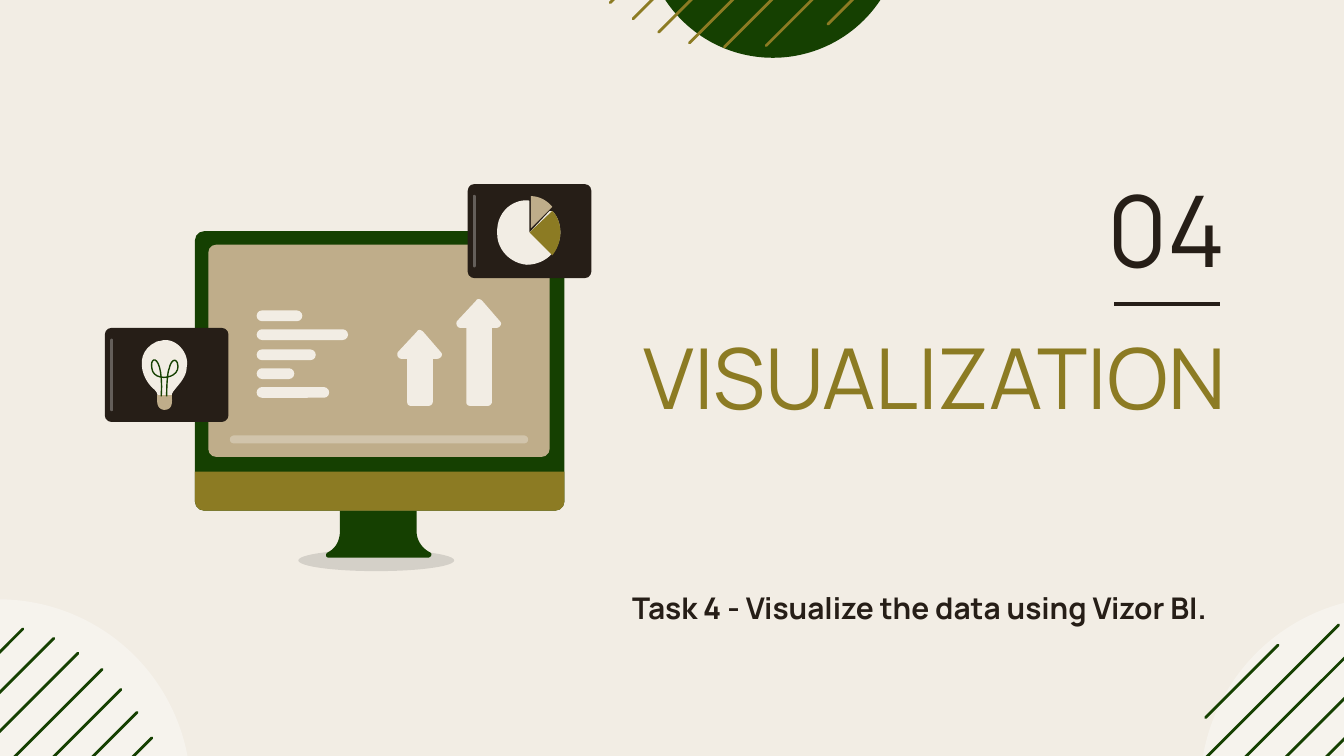
"""Build a section slide with a monitor illustration and striped circles."""
from pptx import Presentation
from pptx.dml.color import RGBColor
from pptx.enum.shapes import MSO_CONNECTOR, MSO_SHAPE as SHAPE
from pptx.enum.text import MSO_ANCHOR as ANCHOR, MSO_AUTO_SIZE, PP_ALIGN
from pptx.oxml.ns import qn
from pptx.util import Inches, Pt
from lxml import etree

CREAM = RGBColor(0xF2, 0xED, 0xE4)
GREEN = RGBColor(0x15, 0x40, 0x01)
OLIVE = RGBColor(0x8C, 0x7B, 0x23)
TAN = RGBColor(0xBF, 0xAD, 0x8A)
DARK = RGBColor(0x26, 0x1E, 0x17)
WHITE = RGBColor(0xFF, 0xFF, 0xFF)
BLACK = RGBColor(0x00, 0x00, 0x00)


def paint(sp, color, opacity=100):
    sp.shadow.inherit = False
    sp.line.fill.background()
    sp.fill.solid()
    sp.fill.fore_color.rgb = color
    if opacity < 100:
        clr = sp.fill._xPr.find(qn("a:solidFill"))[0]
        etree.SubElement(clr, qn("a:alpha"), val=str(opacity * 1000))


def outline(shapes, steps, close=True):
    """Draw lines (x, y) and cubic curves (x1, y1, x2, y2, x, y)."""
    points = [steps[0]]
    for step in steps[1:]:
        if len(step) == 2:
            points.append(step)
            continue
        x0, y0 = points[-1]
        x1, y1, x2, y2, x3, y3 = step
        for i in range(1, 13):
            t = i / 12
            u = 1 - t
            a, b, c, d = u ** 3, 3 * u * u * t, 3 * u * t * t, t ** 3
            points.append((a * x0 + b * x1 + c * x2 + d * x3,
                           a * y0 + b * y1 + c * y2 + d * y3))
    points = [(Inches(x), Inches(y)) for x, y in points]
    builder = shapes.build_freeform(*points[0])
    builder.add_line_segments(points[1:], close=close)
    return builder.convert_to_shape()


prs = Presentation()
prs.slide_width, prs.slide_height = Inches(10), Inches(10) * 9 // 16
s = prs.slides.add_slide(prs.slide_layouts[5])
s.background.fill.solid()
s.background.fill.fore_color.rgb = CREAM

circles = [
    ((-1.44, 4.46, 2.86, 2.86), WHITE, 36, GREEN,
     [(-1.54, 6.39, 1.71), (-1.46, 6.61, 1.86), (-1.36, 6.8, 1.94),
      (-1.26, 7, 2.02), (-1.02, 7.05, 1.92), (-0.96, 7.28, 1.98),
      (-0.73, 7.35, 1.86)]),
    ((8.93, 4.44, 2.86, 2.86), WHITE, 36, GREEN,
     [(8.97, 5.34, 0.54), (8.81, 5.8, 1.15), (8.79, 6.11, 1.49),
      (8.83, 6.37, 1.71), (8.91, 6.59, 1.85)]),
    ((4.79, -1.49, 1.92, 1.92), GREEN, 100, OLIVE,
     [(4.54, 0.02, 2), (4.71, 0.14, 1.95), (4.9, 0.24, 1.86),
      (5.13, 0.32, 1.71), (5.39, 0.35, 1.49), (5.7, 0.34, 1.16),
      (6.16, 0.18, 0.54)]),
]
for box, color, opacity, stripe_color, stripes in circles:
    group = s.shapes.add_group_shape().shapes
    paint(group.add_shape(SHAPE.OVAL, *map(Inches, box)), color, opacity)
    for x, y, run in stripes:
        stripe = group.add_connector(
            MSO_CONNECTOR.STRAIGHT, *map(Inches, (x, y, x + run, y - run)))
        stripe.line.color.rgb = stripe_color
        stripe.line.width = Pt(1.5)
        stripe.line._get_or_add_ln().set("cap", "rnd")
        etree.SubElement(stripe._element.spPr, qn("a:effectLst"))

monitor = s.shapes.add_group_shape().shapes
paint(monitor.add_shape(SHAPE.OVAL, *map(Inches, (2.22, 4.09, 1.16, 0.16))), BLACK, 12)
stand = [(2.53, 3.95), (2.53, 3.8), (3.1, 3.8), (3.1, 3.95),
         (3.1, 4.02, 3.14, 4.08, 3.2, 4.11), (3.22, 4.12, 3.21, 4.15, 3.18, 4.15),
         (2.45, 4.15), (2.42, 4.15, 2.42, 4.12, 2.44, 4.11),
         (2.5, 4.08, 2.53, 4.02, 2.53, 3.95)]
paint(outline(monitor, stand), GREEN)

panels = [
    (SHAPE.ROUNDED_RECTANGLE, (1.45, 1.72, 2.75, 2.08), 0.07, GREEN, 100),
    (SHAPE.ROUND_2_SAME_RECTANGLE, (1.45, 3.51, 2.75, 0.29), 0.07, OLIVE, 100),
    (SHAPE.ROUNDED_RECTANGLE, (1.55, 1.82, 2.54, 1.58), 0.06, TAN, 100),
    (SHAPE.ROUNDED_RECTANGLE, (1.71, 3.24, 2.22, 0.06), 0.03, WHITE, 29),
]
for y, width in [(2.31, 0.34), (2.45, 0.68), (2.6, 0.44), (2.74, 0.28), (2.88, 0.54)]:
    panels.append((SHAPE.ROUNDED_RECTANGLE, (1.91, y, width, 0.08), 0.04, CREAM, 100))
for x, y in [(0.78, 2.44), (3.48, 1.37)]:
    panels.append((SHAPE.ROUNDED_RECTANGLE, (x, y, 0.92, 0.7), 0.05, DARK, 100))
    panels.append((SHAPE.ROUNDED_RECTANGLE, (x + 0.04, y + 0.08, 0.02, 0.54), 0.01, WHITE, 29))
for kind, box, radius, color, opacity in panels:
    panel = monitor.add_shape(kind, *map(Inches, box))
    panel.adjustments[0] = radius / min(box[2:])
    if kind == SHAPE.ROUND_2_SAME_RECTANGLE:
        panel.rotation = 180
    paint(panel, color, opacity)

foot = 3.02
for x, y in [(2.95, 2.45), (3.39, 2.22)]:
    neck = y + 0.22
    arrow = [(x + 0.33, y + 0.17), (x + 0.2, y + 0.02),
             (x + 0.18, y, x + 0.16, y, x + 0.15, y + 0.02), (x + 0.01, y + 0.17),
             (x, y + 0.19, x + 0.01, neck, x + 0.04, neck), (x + 0.08, neck),
             (x + 0.08, foot - 0.03), (x + 0.08, foot - 0.01, x + 0.09, foot, x + 0.11, foot),
             (x + 0.24, foot), (x + 0.25, foot, x + 0.27, foot - 0.01, x + 0.27, foot - 0.03),
             (x + 0.27, neck), (x + 0.3, neck),
             (x + 0.33, neck, x + 0.35, y + 0.19, x + 0.33, y + 0.17)]
    paint(outline(monitor, arrow), CREAM)

bulb = [(1.23, 2.53), (1.21, 2.53, 1.19, 2.54, 1.17, 2.54),
        (0.99, 2.62, 1.05, 2.82, 1.15, 2.9), (1.18, 2.93, 1.17, 2.95, 1.17, 2.95),
        (1.28, 2.95), (1.26, 2.91, 1.39, 2.84, 1.39, 2.73),
        (1.41, 2.64, 1.33, 2.53, 1.23, 2.53)]
cap = [(1.28, 2.94), (1.28, 2.99, 1.29, 3.05, 1.22, 3.05),
       (1.16, 3.04, 1.17, 2.98, 1.17, 2.94)]
tan_slice = [(3.95, 1.46), (4.01, 1.46, 4.07, 1.49, 4.11, 1.54), (3.95, 1.7)]
cream_slice = [(4.09, 1.57), (3.94, 1.73), (3.94, 1.5), (3.94, 1.49, 3.93, 1.49, 3.92, 1.49),
               (3.79, 1.49, 3.69, 1.6, 3.7, 1.74), (3.7, 1.86, 3.8, 1.96, 3.92, 1.97),
               (4.06, 1.97, 4.17, 1.86, 4.17, 1.73), (4.17, 1.67, 4.15, 1.61, 4.11, 1.57)]
olive_slice = [(4.11, 1.9), (4.15, 1.85, 4.17, 1.79, 4.17, 1.73),
               (4.17, 1.67, 4.15, 1.61, 4.11, 1.57), (3.94, 1.73)]
for steps, color in [(bulb, CREAM), (cap, TAN), (tan_slice, TAN),
                     (cream_slice, CREAM), (olive_slice, OLIVE)]:
    paint(outline(monitor, steps), color)

filament = outline(monitor, [
    (1.24, 2.95), (1.24, 2.95, 1.24, 2.78, 1.26, 2.74), (1.27, 2.69, 1.3, 2.66, 1.32, 2.7),
    (1.36, 2.82, 1.14, 2.85, 1.13, 2.74), (1.11, 2.64, 1.22, 2.63, 1.2, 2.95)], close=False)
filament.shadow.inherit = False
filament.fill.background()
filament.line.color.rgb = GREEN
filament.line.width = Pt(0.75)

rule = s.shapes.add_connector(MSO_CONNECTOR.STRAIGHT, *map(Inches, (8.29, 2.26, 9.08, 2.26)))
rule.line.color.rgb = DARK
rule.line.width = Pt(2.25)
etree.SubElement(rule._element.spPr, qn("a:effectLst"))

number = s.shapes.add_textbox(0, 0, 0, 0)
task = s.shapes.add_textbox(0, 0, 0, 0)
texts = [
    (s.shapes.title, (4.59, 2.32, 4.63, 1.72), "VISUALIZATION", 45, OLIVE, False, ANCHOR.TOP),
    (number, (8.04, 1.15, 1.18, 1.09), "04", 53, DARK, False, ANCHOR.MIDDLE),
    (task, (1.22, 4.29, 7.86, 0.67), "Task 4 - Visualize the data using Vizor BI.",
     16, DARK, True, ANCHOR.TOP),
]
for sp, box, text, size, color, bold, anchor in texts:
    sp.left, sp.top, sp.width, sp.height = map(Inches, box)
    tf = sp.text_frame
    tf.word_wrap = True
    tf.auto_size = MSO_AUTO_SIZE.NONE
    tf.vertical_anchor = anchor
    tf.margin_left = tf.margin_right = tf.margin_top = tf.margin_bottom = Inches(0.1)
    p = tf.paragraphs[0]
    p.alignment = PP_ALIGN.RIGHT
    r = p.add_run()
    r.text = text
    r.font.name = "Manrope"
    r.font.size = Pt(size)
    r.font.bold = bold
    r.font.color.rgb = color

prs.save("out.pptx")
